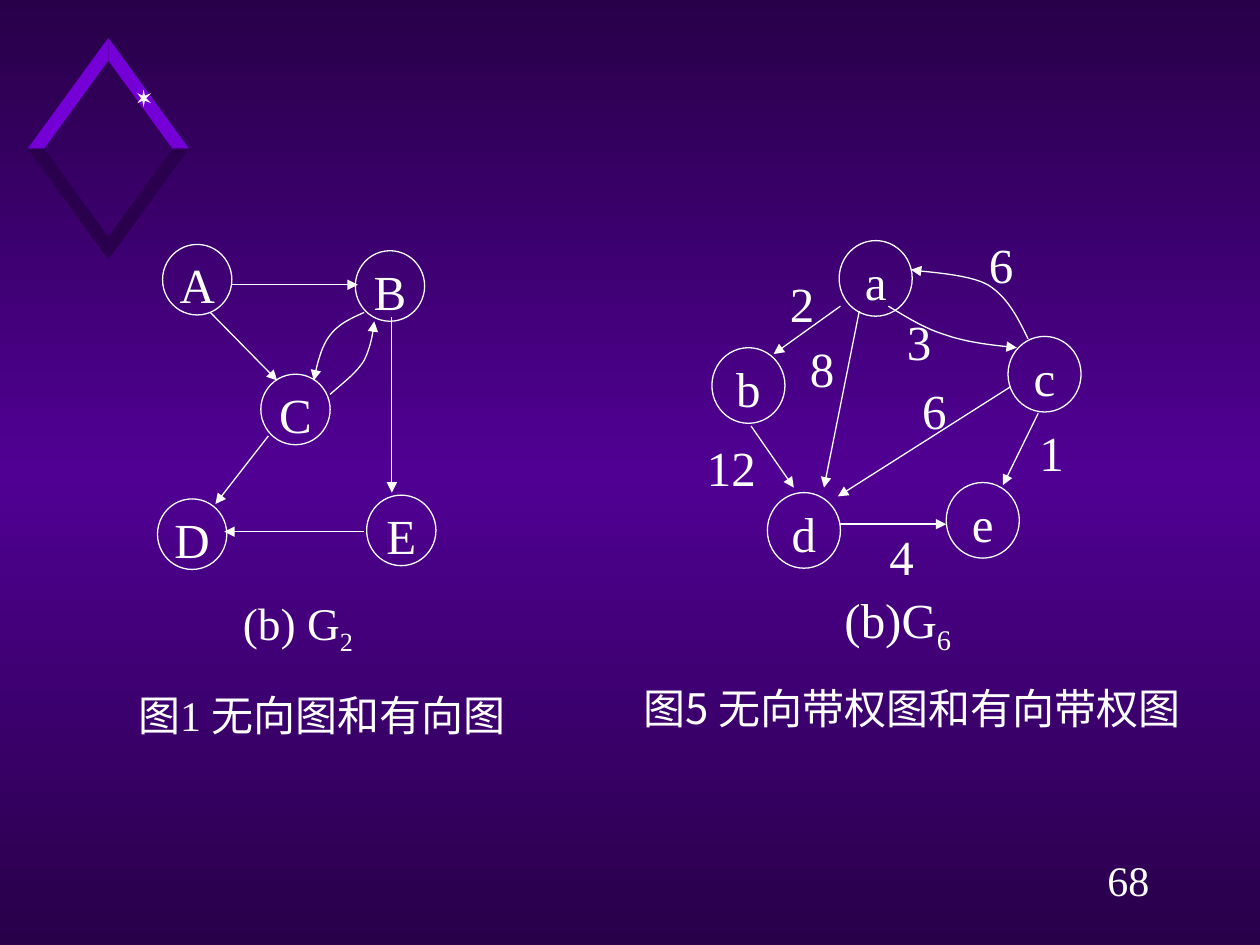
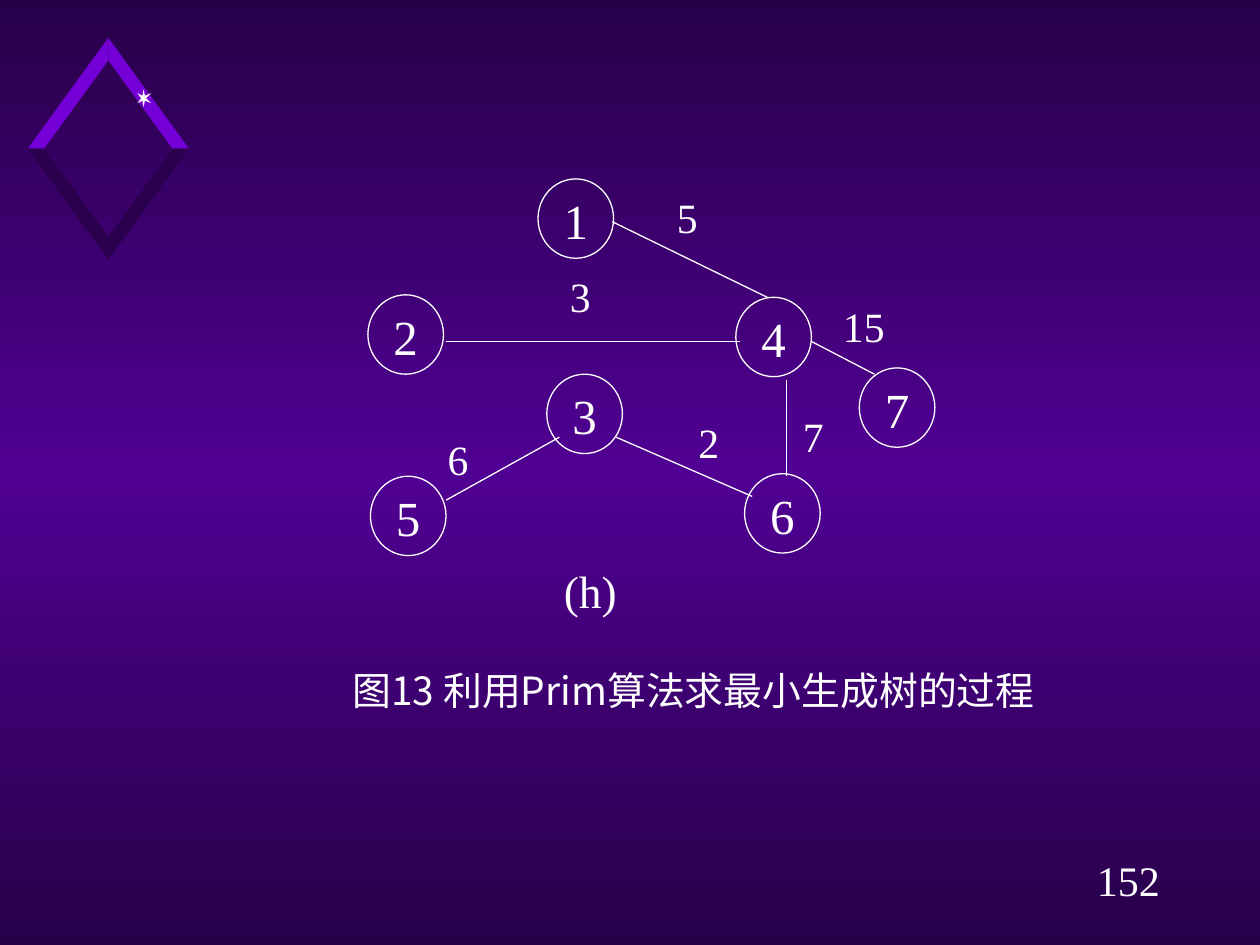
import copy

import lxml.etree
import pptx
import pptx.dml.color
import pptx.enum.shapes
import pptx.enum.text
import pptx.oxml.ns
import pptx.util

Inches = pptx.util.Inches
RGBColor = pptx.dml.color.RGBColor
qn = pptx.oxml.ns.qn

WHITE = RGBColor(0xFF, 0xFF, 0xFF)
EDGE_PURPLE = RGBColor(0x28, 0x00, 0x49)
MIDDLE_PURPLE = RGBColor(0x50, 0x00, 0x93)
BRIGHT_PURPLE = RGBColor(0x75, 0x00, 0xD7)
DARK_PURPLE = RGBColor(0x2A, 0x00, 0x4E)
SPARK_WHITE = RGBColor(0xF9, 0xF9, 0xF9)
LATIN_FONT = "Times New Roman"
CHINESE_FONT = "Noto Sans CJK SC"


def write(shape, text, size, font=LATIN_FONT, margins=(0, 0), spacing=None):
    """Fill a shape with centred white text; what follows "|" is a subscript."""
    frame = shape.text_frame
    frame.word_wrap = True
    frame.vertical_anchor = pptx.enum.text.MSO_ANCHOR.TOP
    frame.margin_left = frame.margin_right = Inches(margins[0])
    frame.margin_top = frame.margin_bottom = Inches(margins[1])
    para = frame.paragraphs[0]
    para.alignment = pptx.enum.text.PP_ALIGN.CENTER
    if spacing:
        para.line_spacing = spacing
    main, _, subscript = text.partition("|")
    para.add_run().text = main
    if subscript:
        span = para.add_run()
        span.text = subscript
        span.font._element.set("baseline", "-25000")
    para.font.size = pptx.util.Pt(size)
    para.font.name = font
    para.font.color.rgb = WHITE
    defaults = para._p.pPr.find(qn("a:defRPr"))
    lxml.etree.SubElement(defaults, qn("a:ea")).set("typeface", CHINESE_FONT)


def draw_edge(shape, arrow, width=0.75):
    """Give an edge its white line, without shadow, and its arrowhead."""
    shape.line.color.rgb = WHITE
    shape.line.width = pptx.util.Pt(width)
    if arrow:
        line = shape._element.spPr.find(qn("a:ln"))
        lxml.etree.SubElement(line, qn("a:tailEnd")).set("type", "triangle")
    lxml.etree.SubElement(shape._element.spPr, qn("a:effectLst"))


# Ornament: a diamond of four mirrored bars, and a spark
CENTRE_X, CENTRE_Y = 0.86, 1.18
ornament = []
for colour, down in ((BRIGHT_PURPLE, -1), (DARK_PURPLE, 1)):
    for side in (1, -1):
        bar = [(0, 0.88), (0, 0.7), (0.51, 0), (0.64, 0)]
        ornament.append((colour, [(CENTRE_X + side * x, CENTRE_Y + down * y) for x, y in bar]))
ornament.append((SPARK_WHITE, [
    (1.09, 0.74), (1.13, 0.76), (1.14, 0.71), (1.15, 0.76), (1.2, 0.74), (1.16, 0.78),
    (1.2, 0.82), (1.15, 0.8), (1.14, 0.85), (1.13, 0.8), (1.09, 0.82), (1.12, 0.78)]))

# Nodes: (width, height, {name: (left, top)})
# Edges: (from x, from y, to x, to y); curves: start, then two cubic pieces
# Labels: (text, left, top); captions: (text, box, size, font, line spacing)
slides = [
    {
        "number": "68",
        "arrows": True,
        "nodes": [
            (0.55, 0.56, {"A": (1.29, 1.94), "B": (2.82, 1.99), "C": (2.07, 2.97),
                          "E": (2.91, 3.93), "D": (1.25, 3.96)}),
            (0.58, 0.6, {"b": (5.65, 2.76), "a": (6.66, 1.91), "d": (6.09, 3.91),
                         "c": (8, 2.67), "e": (7.51, 3.83)}),
        ],
        "edges": [
            (1.84, 2.26, 2.84, 2.26), (1.67, 2.48, 2.2, 3.02), (2.13, 3.46, 1.71, 4),
            (2.89, 4.22, 1.78, 4.22), (3.11, 2.52, 3.11, 3.91),
            (6.67, 2.43, 6.14, 2.81), (5.96, 3.38, 6.3, 3.87), (8.24, 3.28, 7.96, 3.85),
            (8.02, 3.07, 6.65, 3.94), (6.82, 2.47, 6.54, 3.87), (6.67, 4.16, 7.51, 4.16, 1),
        ],
        "curves": [
            [(2.89, 2.48), (2.78, 2.53), (2.69, 2.57), (2.62, 2.66),
             (2.55, 2.75), (2.52, 2.88), (2.49, 3.02)],
            [(2.62, 3.13), (2.72, 3.04), (2.83, 2.96), (2.89, 2.86),
             (2.94, 2.76), (2.96, 2.65), (2.97, 2.55)],
            [(8.16, 2.69), (8.08, 2.52), (7.99, 2.35), (7.84, 2.26),
             (7.68, 2.17), (7.32, 2.16), (7.23, 2.14)],
            [(7.05, 2.43), (7.2, 2.52), (7.34, 2.61), (7.51, 2.66),
             (7.68, 2.72), (7.88, 2.74), (8.07, 2.76)],
        ],
        "label_style": (0.49, 0.5, 28),
        "labels": [("1", 8.1, 3.35), ("4", 6.91, 4.18), ("6", 7.17, 3.02), ("3", 7.05, 2.47),
                   ("8", 6.28, 2.69), ("2", 6.12, 2.17), ("6", 7.7, 1.86), ("12", 5.56, 3.47)],
        "captions": [
            ("(b) G|2", (1.58, 4.72, 1.57, 0.49), 25.9, LATIN_FONT, None),
            ("图1 无向图和有向图", (0.75, 5.47, 3.61, 0.45), 24, LATIN_FONT, None),
            ("(b)G|6", (6.37, 4.68, 1.51, 0.57), 28, LATIN_FONT, None),
            ("图5 无向带权图和有向带权图", (4.98, 5.42, 4.52, 0.59), 24, CHINESE_FONT, None),
        ],
    },
    {
        "number": "152",
        "arrows": False,
        "nodes": [
            (0.6, 0.63, {"1": (4.27, 1.42), "2": (2.92, 2.34), "7": (6.82, 2.92),
                         "4": (5.84, 2.36), "5": (2.94, 3.78), "3": (4.34, 2.97),
                         "6": (5.91, 3.76)}),
        ],
        "edges": [
            (4.86, 1.76, 6.09, 2.36), (6.24, 3.02, 6.24, 3.78), (3.54, 2.71, 5.87, 2.71),
            (4.89, 3.47, 5.97, 3.94), (3.54, 3.97, 4.44, 3.47), (6.44, 2.71, 6.94, 2.97),
        ],
        "curves": [],
        "label_style": (0.55, 0.42, 23.8),
        "labels": [("7", 6.18, 3.26), ("2", 5.35, 3.31), ("6", 3.36, 3.44),
                   ("15", 6.58, 2.39), ("3", 4.33, 2.15), ("5", 5.18, 1.52)],
        "captions": [
            ("(h)", (4.21, 4.47, 0.95, 0.45), 25.9, LATIN_FONT, None),
            ("图13 利用Prim算法求最小生成树的过程", (2.42, 5.33, 6.17, 0.58), 22.2,
             CHINESE_FONT, 0.9),
        ],
    },
]

deck = pptx.Presentation()
deck.slide_width, deck.slide_height = Inches(10), Inches(7.5)

for content in slides:
    page = deck.slides.add_slide(deck.slide_layouts[6])
    shapes = page.shapes

    # Background: dark at top and bottom, lighter in the middle
    fill = page.background.fill
    fill.gradient()
    fill.gradient_angle = 270
    for stop in fill.gradient_stops:
        stop.color.rgb = EDGE_PURPLE
    first_stop = fill.gradient_stops[0]._gs
    first_stop.addnext(copy.deepcopy(first_stop))
    middle_stop = fill.gradient_stops[1]
    middle_stop.position = 0.5
    middle_stop.color.rgb = MIDDLE_PURPLE

    # Ornament and slide number
    for colour, corners in ornament:
        points = [(Inches(x), Inches(y)) for x, y in corners]
        builder = shapes.build_freeform(*points[0])
        builder.add_line_segments(points[1:], close=True)
        piece = builder.convert_to_shape()
        piece.shadow.inherit = False
        piece.fill.solid()
        piece.fill.fore_color.rgb = colour
        piece.line.fill.background()
    box = shapes.add_textbox(Inches(8.58), Inches(6.73), Inches(0.75), Inches(0.5))
    write(box, content["number"], 24, margins=(0.1, 0.05))

    # Edge weights
    width, height, size = content["label_style"]
    for text, left, top in content["labels"]:
        box = shapes.add_textbox(Inches(left), Inches(top), Inches(width), Inches(height))
        write(box, text, size)

    # Nodes
    for width, height, places in content["nodes"]:
        for name, (left, top) in places.items():
            node = shapes.add_shape(pptx.enum.shapes.MSO_SHAPE.OVAL, Inches(left), Inches(top),
                                    Inches(width), Inches(height))
            node.shadow.inherit = False
            node.fill.background()
            node.line.color.rgb = WHITE
            node.line.width = pptx.util.Pt(0.75)
            write(node, name, 28)

    # Straight edges
    for x1, y1, x2, y2, *weight in content["edges"]:
        edge = shapes.add_connector(pptx.enum.shapes.MSO_CONNECTOR.STRAIGHT,
                                    Inches(x1), Inches(y1), Inches(x2), Inches(y2))
        draw_edge(edge, content["arrows"], *weight)

    # Curved edges, traced in short steps along each cubic piece
    for controls in content["curves"]:
        points = []
        for piece in (controls[:4], controls[3:]):
            for step in range(1, 13):
                t = step / 12
                weights = ((1 - t) ** 3, 3 * t * (1 - t) ** 2, 3 * t * t * (1 - t), t ** 3)
                points.append([Inches(sum(w * point[axis] for w, point in zip(weights, piece)))
                               for axis in (0, 1)])
        builder = shapes.build_freeform(Inches(controls[0][0]), Inches(controls[0][1]))
        builder.add_line_segments(points, close=False)
        curve = builder.convert_to_shape()
        curve.fill.background()
        draw_edge(curve, content["arrows"])

    # Captions
    for text, place, size, font, spacing in content["captions"]:
        box = shapes.add_textbox(*[Inches(length) for length in place])
        write(box, text, size, font, spacing=spacing)

deck.save("out.pptx")
